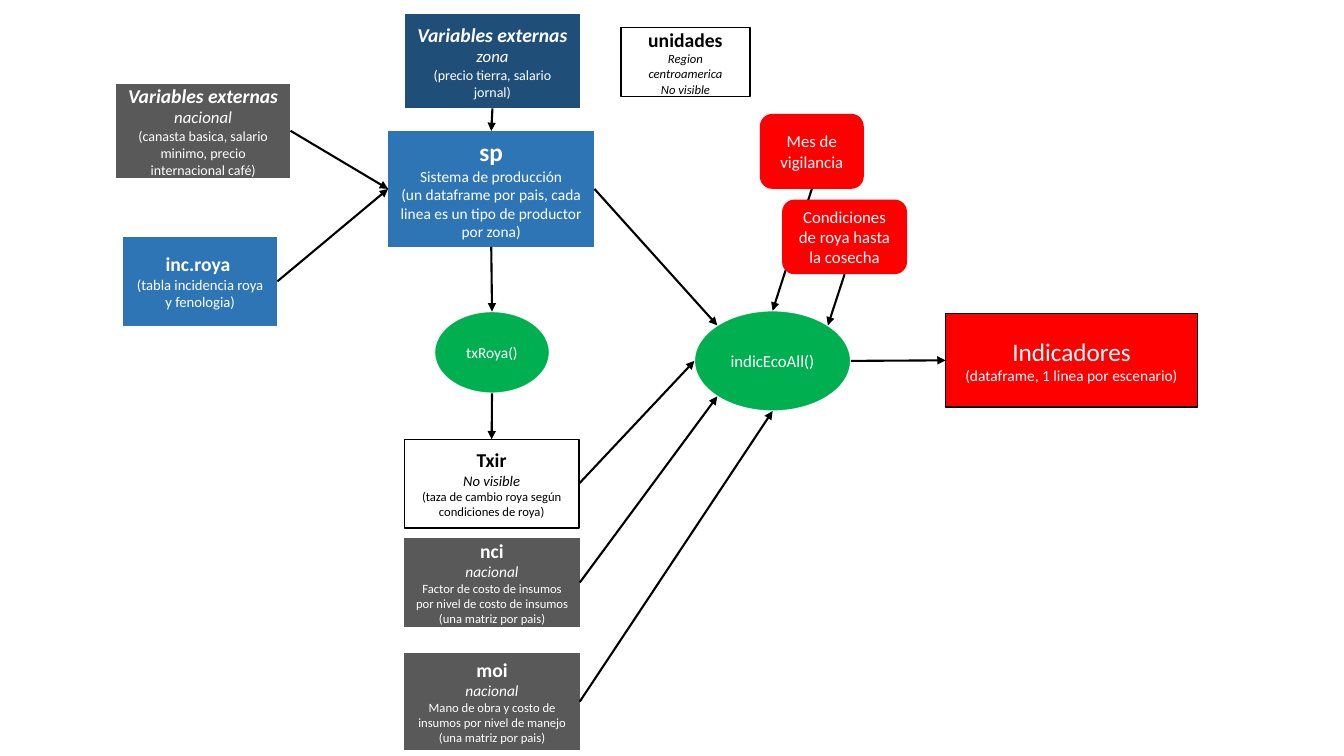
"""Build the flow diagram of data tables, functions and indicators."""
import dataclasses
import math

import lxml.etree
import pptx
import pptx.dml.color
import pptx.enum.shapes
import pptx.enum.text
import pptx.oxml.ns
import pptx.util

Cm = pptx.util.Cm
SHAPES = pptx.enum.shapes.MSO_SHAPE


@dataclasses.dataclass(frozen=True)
class Theme:
    """Fonts, colours and type sizes of the diagram."""
    font: str = "Calibri"
    white: str = "FFFFFF"
    black: str = "000000"
    blue: str = "2E75B6"
    navy: str = "1F4E79"
    gray: str = "595959"
    green: str = "00B050"
    red: str = "FF0000"
    hero: float = 18
    name: float = 14
    label: float = 12
    body: float = 11
    small: float = 10.5
    note: float = 10
    fine: float = 9
    outline: float = 1
    arrow: float = 1.5


THEME = Theme()

# kind of node: preset shape, fill, outline, text colour
KINDS = {
    "data": (SHAPES.FLOWCHART_PROCESS, THEME.blue, None, THEME.white),
    "zone": (SHAPES.FLOWCHART_PROCESS, THEME.navy, None, THEME.white),
    "national": (SHAPES.FLOWCHART_PROCESS, THEME.gray, None, THEME.white),
    "hidden": (SHAPES.FLOWCHART_PROCESS, THEME.white, THEME.black, THEME.black),
    "result": (SHAPES.FLOWCHART_PROCESS, THEME.red, THEME.black, THEME.white),
    "input": (SHAPES.ROUNDED_RECTANGLE, THEME.red, None, THEME.white),
    "function": (SHAPES.OVAL, THEME.green, THEME.white, THEME.white),
}

# node: kind, (left, top, width, height) in cm, lines of (text, size, marks)
NODES = {
    "sp": ("data", (9.78, 3.3, 5.2, 2.92), [
        ("sp", THEME.hero, "b"),
        ("Sistema de producción", THEME.body, ""),
        ("(un dataframe por pais, cada linea es un tipo de productor por zona)",
         THEME.body, "")]),
    "moi": ("national", (10.19, 16.46, 4.42, 2.44), [
        ("moi", THEME.name, "b"),
        ("nacional", THEME.body, "i"),
        ("Mano de obra y costo de insumos por nivel de manejo", THEME.fine, ""),
        ("(una matriz por pais)", THEME.fine, "")]),
    "nci": ("national", (10.19, 13.56, 4.42, 2.24), [
        ("nci", THEME.name, "b"),
        ("nacional", THEME.body, "i"),
        ("Factor de costo de insumos por nivel de costo de insumos", THEME.fine, ""),
        ("(una matriz por pais)", THEME.fine, "")]),
    "indicadores": ("result", (23.83, 7.9, 6.35, 2.36), [
        ("Indicadores", THEME.hero, ""),
        ("(dataframe, 1 linea por escenario)", THEME.body, "")]),
    "indicEcoAll": ("function", (17.5, 7.83, 3.94, 2.53), [
        ("indicEcoAll()", THEME.label, "")]),
    "mes": ("input", (19.15, 2.87, 2.62, 1.89), [
        ("Mes de vigilancia", THEME.label, "")]),
    "externas nacional": ("national", (2.92, 2.11, 4.4, 2.37), [
        ("Variables externas", THEME.name, "bi"),
        ("nacional", THEME.label, "i"),
        ("(canasta basica, salario minimo, precio internacional café)",
         THEME.note, "")]),
    "externas zona": ("zone", (10.21, 0.36, 4.4, 2.37), [
        ("Variables externas", THEME.name, "bi"),
        ("zona", THEME.label, "i"),
        ("(precio tierra, salario jornal)", THEME.note, "")]),
    "txir": ("hidden", (10.19, 11.07, 4.4, 2.24), [
        ("Txir", THEME.name, "b"),
        ("No visible", THEME.small, "i"),
        ("(taza de cambio roya según condiciones de roya)", THEME.fine, "")]),
    "inc.roya": ("data", (3.1, 5.97, 3.89, 2.24), [
        ("inc.roya ", THEME.name, "b"),
        ("(tabla incidencia roya y fenologia)", THEME.small, "")]),
    "txRoya": ("function", (10.95, 7.85, 2.9, 2.06), [
        ("txRoya()", THEME.body, "")]),
    "unidades": ("hidden", (15.65, 0.69, 3.25, 1.75), [
        ("unidades", THEME.name, "b"),
        ("Region centroamerica", THEME.fine, "i"),
        ("No visible", THEME.fine, "i")]),
    "condiciones": ("input", (19.71, 5.03, 3.15, 1.88), [
        ("Condiciones de roya hasta la cosecha", THEME.label, "")]),
}

LINKS = [
    ("externas nacional", "right", "sp", "left"),
    ("inc.roya", "right", "sp", "left"),
    ("externas zona", "bottom", "sp", "top"),
    ("sp", "bottom", "txRoya", "top"),
    ("txRoya", "bottom", "txir", "top"),
    ("sp", "right", "indicEcoAll", "top left"),
    ("txir", "right", "indicEcoAll", "left"),
    ("nci", "right", "indicEcoAll", "bottom left"),
    ("moi", "right", "indicEcoAll", "bottom"),
    ("mes", "bottom", "indicEcoAll", "top"),
    ("condiciones", "bottom", "indicEcoAll", "top right"),
    ("indicEcoAll", "right", "indicadores", "left"),
]

BOX_SITES = ["top", "left", "bottom", "right"]
OVAL_SITES = ["top", "top left", "left", "bottom left",
              "bottom", "bottom right", "right", "top right"]


def rgb(value):
    """Turn a hex string into a colour."""
    return pptx.dml.color.RGBColor.from_string(value)


def apply(target, values):
    """Set each attribute named in a dict of format values."""
    for name, value in values.items():
        setattr(target, name, value)


def add_node(page, kind, place, lines):
    """Draw one node with its centred lines of text."""
    preset, fill, outline, ink = KINDS[kind]
    box = page.shapes.add_shape(preset, *map(Cm, place))
    box.shadow.inherit = False
    box.fill.solid()
    box.fill.fore_color.rgb = rgb(fill)
    if outline:
        box.line.color.rgb = rgb(outline)
        box.line.width = pptx.util.Pt(THEME.outline)
    else:
        box.line.fill.background()
    frame = box.text_frame
    apply(frame, {"word_wrap": True,
                  "vertical_anchor": pptx.enum.text.MSO_ANCHOR.MIDDLE})
    for index, (text, size, marks) in enumerate(lines):
        para = frame.add_paragraph() if index else frame.paragraphs[0]
        para.alignment = pptx.enum.text.PP_ALIGN.CENTER
        span = para.add_run()
        span.text = text
        apply(span.font, {"name": THEME.font, "size": pptx.util.Pt(size),
                          "bold": "b" in marks, "italic": "i" in marks})
        span.font.color.rgb = rgb(ink)
    return box


def find_site(box, side):
    """Return the site number and the point where an arrow meets a node."""
    oval = box.auto_shape_type == SHAPES.OVAL
    across = ("right" in side) - ("left" in side)
    down = ("bottom" in side) - ("top" in side)
    reach = math.hypot(across, down)
    x = box.left + box.width * (1 + across / reach) / 2
    y = box.top + box.height * (1 + down / reach) / 2
    return (OVAL_SITES if oval else BOX_SITES).index(side), (int(x), int(y))


def add_arrow(page, source, source_side, target, target_side):
    """Join two nodes with an arrow attached at both ends."""
    qn = pptx.oxml.ns.qn
    start, start_point = find_site(source, source_side)
    end, end_point = find_site(target, target_side)
    arrow = page.shapes.add_connector(
        pptx.enum.shapes.MSO_CONNECTOR.STRAIGHT, *start_point, *end_point)
    arrow.line.color.rgb = rgb(THEME.black)
    arrow.line.width = pptx.util.Pt(THEME.arrow)
    joints = next(arrow.element.iter(qn("p:cNvCxnSpPr")))
    for tag, box, site in (("a:stCxn", source, start), ("a:endCxn", target, end)):
        lxml.etree.SubElement(joints, qn(tag), id=str(box.shape_id), idx=str(site))
    line = next(arrow.element.iter(qn("a:ln")))
    lxml.etree.SubElement(line, qn("a:tailEnd"), type="triangle")
    lxml.etree.SubElement(line.getparent(), qn("a:effectLst"))


def main():
    """Build the slide, drawing each arrow once both of its nodes exist."""
    deck = pptx.Presentation()
    apply(deck, {"slide_width": Cm(33.87), "slide_height": Cm(19.05)})
    page = deck.slides.add_slide(deck.slide_layouts[6])
    boxes = {}
    for name, node in NODES.items():
        boxes[name] = add_node(page, *node)
        for source, source_side, target, target_side in LINKS:
            if name in (source, target) and source in boxes and target in boxes:
                add_arrow(page, boxes[source], source_side,
                          boxes[target], target_side)
    deck.save("out.pptx")


main()
